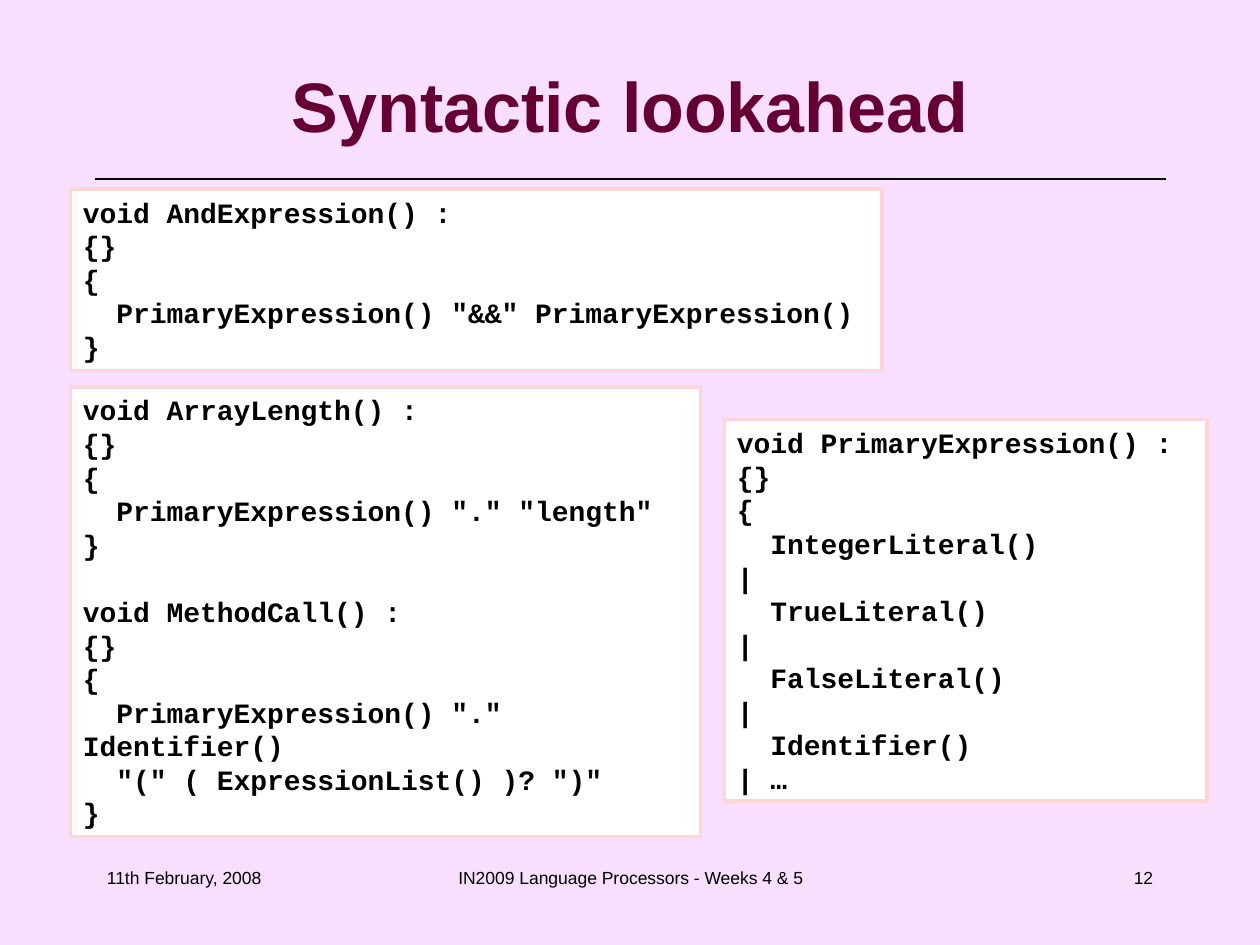
from lxml import etree
from pptx import Presentation
from pptx import util as u
from pptx.dml.color import RGBColor
from pptx.enum import shapes, text
from pptx.oxml.ns import qn

COLORS = {
    "background": "F7DFFD",
    "title": "660033",
    "ink": "000000",
    "panel": "FFFFFF",
    "border": "FFD5D5",
}
CODE_SIZE = 16
LINE_HEIGHT = 19.2

AND_RULE = """void AndExpression() :
{}
{
  PrimaryExpression() "&&" PrimaryExpression()
}"""

ARRAY_RULE = """void ArrayLength() :
{}
{
  PrimaryExpression() "." "length"
}"""

METHOD_RULE = """void MethodCall() :
{}
{
  PrimaryExpression() "." Identifier()
  "(" ( ExpressionList() )? ")"
}"""

PRIMARY_RULE = """void PrimaryExpression() :
{}
{
  IntegerLiteral()
|
  TrueLiteral()
|
  FalseLiteral()
|
  Identifier()
| …"""


def color(name):
    return RGBColor.from_string(COLORS[name])


def style(paragraph, font_name, size, color_name="ink", bold=False):
    font = paragraph.font
    font.name, font.size, font.bold = font_name, u.Pt(size), bold
    font.color.rgb = color(color_name)


def add_label(slide, box, wording, size, align, color_name="ink", bold=False,
              anchor=text.MSO_ANCHOR.TOP):
    frame = slide.shapes.add_textbox(*map(u.Inches, box)).text_frame
    frame.word_wrap = True
    frame.vertical_anchor = anchor
    paragraph = frame.paragraphs[0]
    paragraph.text = wording
    paragraph.alignment = align
    style(paragraph, "Arial", size, color_name, bold)


def add_rule_line(slide, left, right, top):
    line = slide.shapes.add_connector(
        shapes.MSO_CONNECTOR.STRAIGHT,
        u.Inches(left), u.Inches(top), u.Inches(right), u.Inches(top))
    line.line.color.rgb = color("ink")
    line.line.width = u.Pt(0.75)
    etree.SubElement(line._element.spPr, qn("a:effectLst"))


def add_code_panel(slide, box, *rules):
    panel = slide.shapes.add_shape(shapes.MSO_SHAPE.RECTANGLE, *map(u.Inches, box))
    panel.shadow.inherit = False
    panel.fill.solid()
    panel.fill.fore_color.rgb = color("panel")
    panel.line.color.rgb = color("border")
    panel.line.width = u.Pt(2)
    frame = panel.text_frame
    frame.word_wrap = True
    frame.vertical_anchor = text.MSO_ANCHOR.TOP
    frame.text = "\n".join(rules)
    for paragraph in frame.paragraphs:
        paragraph.alignment = text.PP_ALIGN.LEFT
        style(paragraph, "Courier New", CODE_SIZE, bold=True)
    start = 0
    for rule in rules[:-1]:
        start += len(rule.splitlines())
        frame.paragraphs[start].space_before = u.Pt(LINE_HEIGHT)


def main():
    presentation = Presentation()
    presentation.slide_width = u.Inches(10)
    presentation.slide_height = u.Inches(7.5)
    slide = presentation.slides.add_slide(presentation.slide_layouts[6])
    slide.background.fill.solid()
    slide.background.fill.fore_color.rgb = color("background")

    align = text.PP_ALIGN
    add_rule_line(slide, 0.75, 9.25, 1.42)
    add_label(slide, (0.5, 0.33, 9, 1), "Syntactic lookahead", 40, align.CENTER,
              "title", True, text.MSO_ANCHOR.MIDDLE)

    add_code_panel(slide, (5.75, 3.33, 3.83, 3.03), PRIMARY_RULE)
    add_code_panel(slide, (0.56, 1.5, 6.44, 1.44), AND_RULE)
    add_code_panel(slide, (0.56, 3.07, 5, 3.57), ARRAY_RULE, METHOD_RULE)

    for left, width, wording, alignment in (
        (3.42, 3.17, "IN2009 Language Processors - Weeks 4 & 5", align.CENTER),
        (7.17, 2.08, "12", align.RIGHT),
        (0.75, 2.08, "11th February, 2008", align.LEFT),
    ):
        add_label(slide, (left, 6.83, width, 0.5), wording, 10, alignment)

    presentation.save("out.pptx")


if __name__ == "__main__":
    main()
